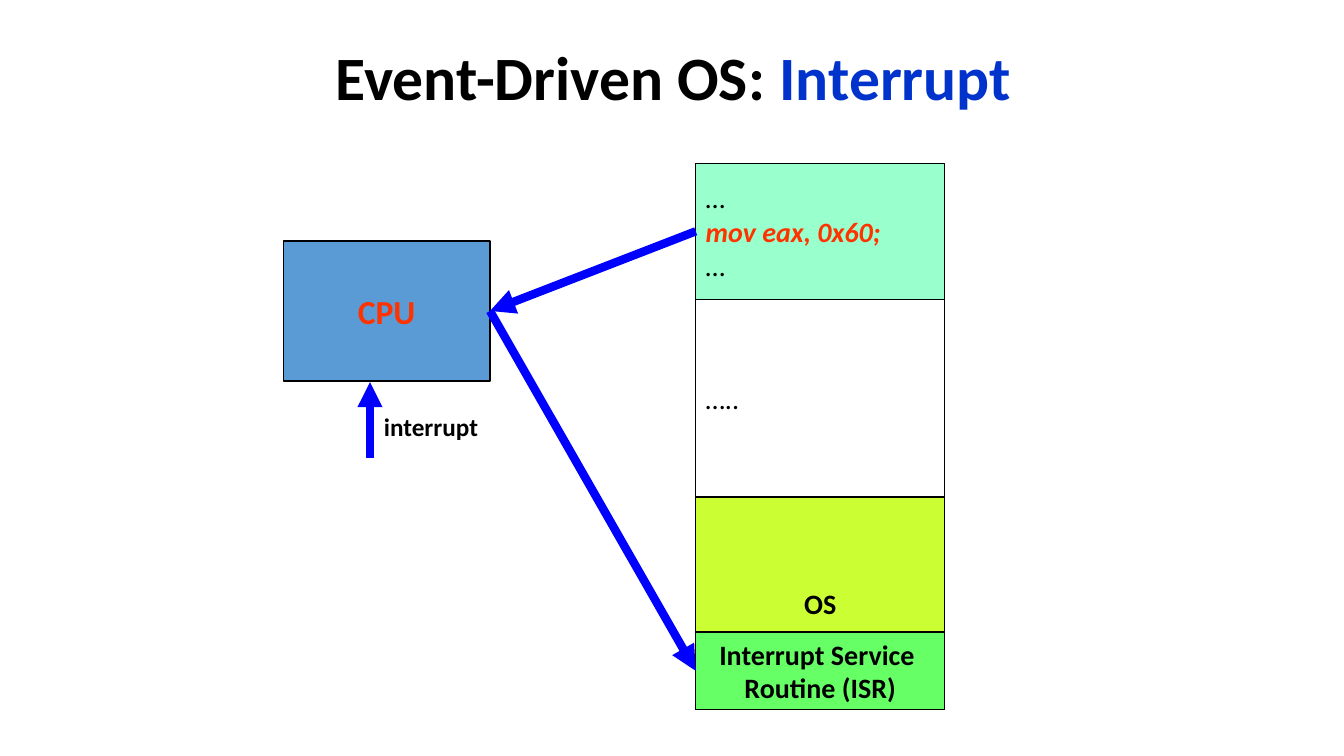
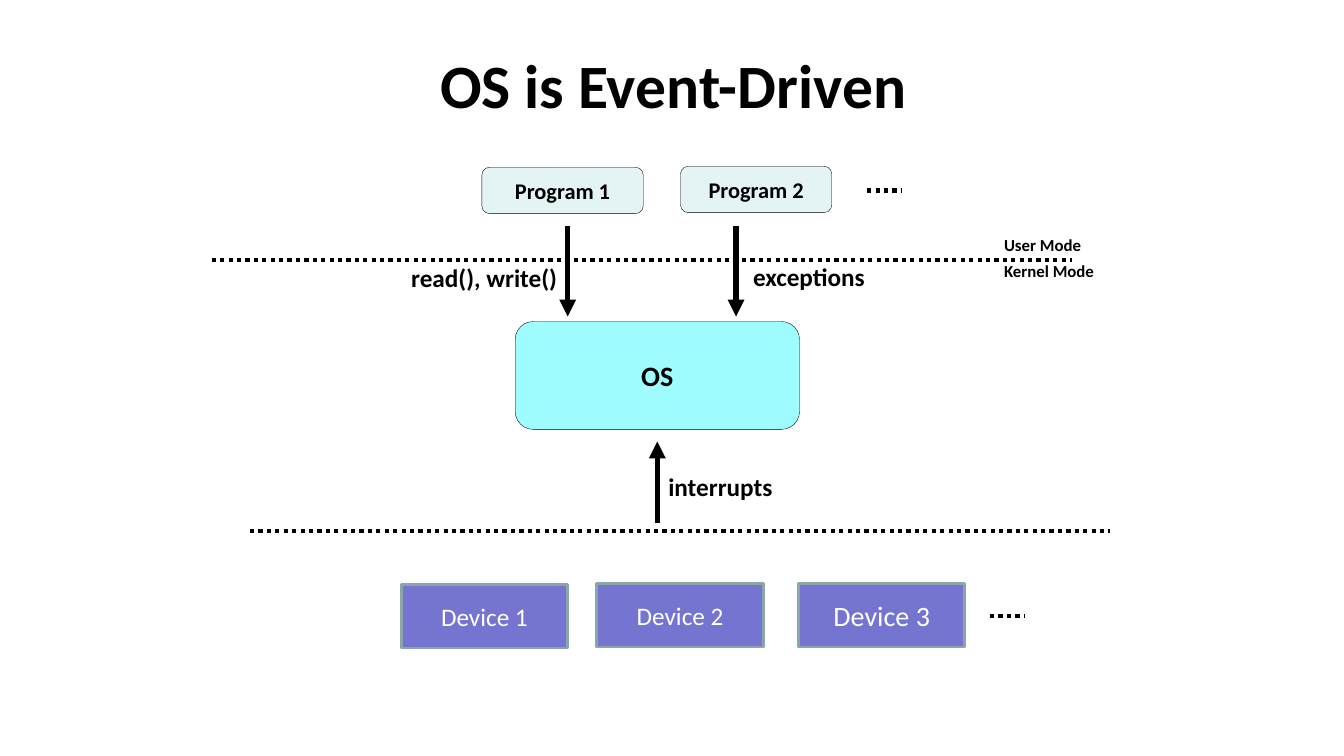
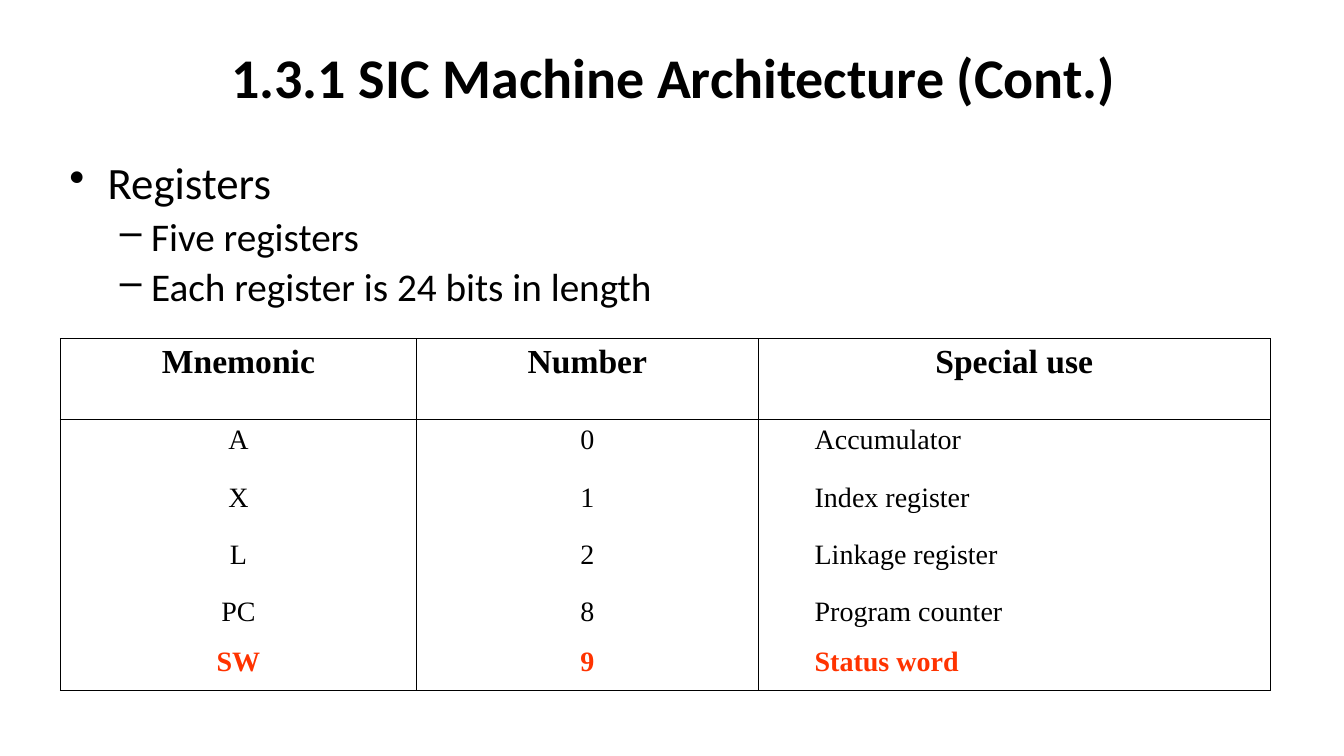
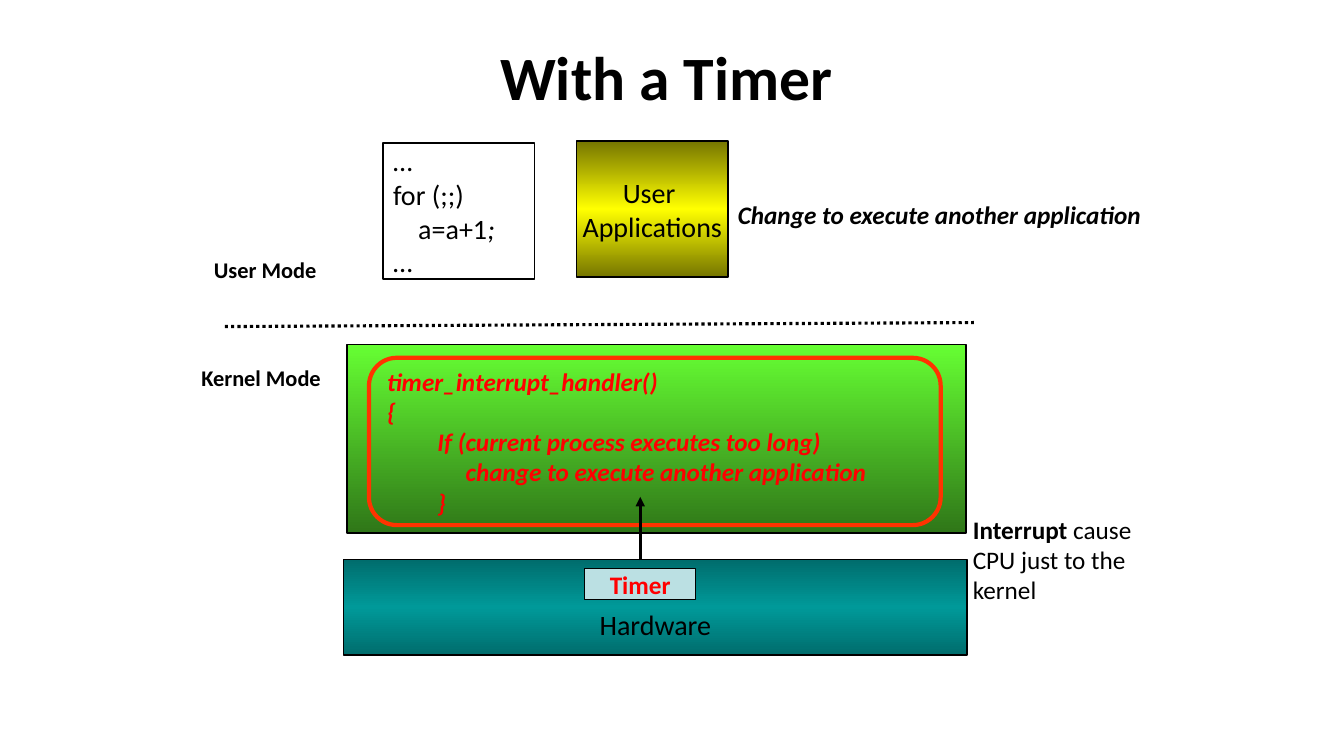
from dataclasses import dataclass, field

from lxml import etree
from pptx import Presentation
from pptx import util as u
from pptx.dml.color import RGBColor
from pptx.enum import dml, shapes, text
from pptx.oxml.ns import qn

PX = 9144
FONT = "Calibri"
TABLE_FONT = "Times New Roman"

BLACK = RGBColor(0x00, 0x00, 0x00)
WHITE = RGBColor(0xFF, 0xFF, 0xFF)
TITLE_BLUE = RGBColor(0x00, 0x33, 0xCC)
ARROW_BLUE = RGBColor(0x00, 0x00, 0xFF)
ORANGE = RGBColor(0xFF, 0x33, 0x00)
RED = RGBColor(0xFF, 0x00, 0x00)
MINT = RGBColor(0x99, 0xFF, 0xCC)
LIME = RGBColor(0xCC, 0xFF, 0x33)
GREEN = RGBColor(0x66, 0xFF, 0x66)
CPU_BLUE = RGBColor(0x5B, 0x9B, 0xD5)
PALE_TEAL = RGBColor(0xE4, 0xF3, 0xF4)
CYAN = RGBColor(0x9F, 0xFD, 0xFF)
VIOLET = RGBColor(0x75, 0x75, 0xD1)
GREY_TEAL = RGBColor(0x8A, 0xA6, 0xA8)
TIMER_BLUE = RGBColor(0xBB, 0xE0, 0xE3)
DARK_TEAL = RGBColor(0x00, 0x6D, 0x6D)
TEAL = RGBColor(0x00, 0x99, 0x99)
KERNEL_GREEN = RGBColor(0x66, 0xFF, 0x33)
DARK_GREEN = RGBColor(0x2F, 0x76, 0x18)
OLIVE = RGBColor(0x76, 0x76, 0x00)
YELLOW = RGBColor(0xFF, 0xFF, 0x00)

LEFT, CENTER = text.PP_ALIGN.LEFT, text.PP_ALIGN.CENTER
MIDDLE, TOP, BOTTOM = (text.MSO_ANCHOR.MIDDLE, text.MSO_ANCHOR.TOP,
                       text.MSO_ANCHOR.BOTTOM)
RECT = shapes.MSO_SHAPE.RECTANGLE
ROUNDED = shapes.MSO_SHAPE.ROUNDED_RECTANGLE
LEFT_SIDE, RIGHT_SIDE = 1, 3


def px(*lengths):
    return [u.Emu(length * PX) for length in lengths]


@dataclass
class Para:
    runs: list
    look: dict = field(default_factory=dict)
    indent: int = 0
    hanging: int = 0
    bullet: str = ""
    before: float = 0
    spacing: float = 0


class Deck:
    title_box = (68, 13, 1200, 125)

    def __init__(self):
        self.prs = Presentation()
        self.prs.slide_width, self.prs.slide_height = px(1333, 750)
        self.slide = None

    def new_slide(self):
        self.slide = self.prs.slides.add_slide(self.prs.slide_layouts[6])

    def style(self, font, name=None, size=None, color=None, bold=None, italic=None):
        if name:
            font.name = name
        if size:
            font.size = u.Pt(size)
        if color is not None:
            font.color.rgb = color
        if bold is not None:
            font.bold = bold
        if italic is not None:
            font.italic = italic

    def put_text(self, frame, content, align=LEFT, **look):
        base = {"name": FONT, "size": 20, "color": BLACK, "bold": False, **look}
        paras = [content] if isinstance(content, (str, Para)) else content
        for index, para in enumerate(paras):
            if isinstance(para, str):
                para = Para([para])
            line = frame.paragraphs[0] if index == 0 else frame.add_paragraph()
            line.alignment = align
            self.style(line.font, **{**base, **para.look})
            for part in para.runs:
                words, changes = (part, {}) if isinstance(part, str) else part
                run = line.add_run()
                run.text = words
                self.style(run.font, **changes)
            if para.before:
                line.space_before = u.Pt(para.before)
            if para.spacing:
                line.line_spacing = para.spacing
            props = line._p.get_or_add_pPr()
            if para.indent:
                props.set("marL", str(para.indent * PX))
                props.set("indent", str(-para.hanging * PX))
            if para.bullet:
                bullet = etree.Element(qn("a:buChar"), char=para.bullet)
                props.find(qn("a:defRPr")).addprevious(bullet)

    def label(self, box, content, wrap=False, grow=True, anchor=TOP, **look):
        frame = self.slide.shapes.add_textbox(*px(*box)).text_frame
        frame.word_wrap = wrap
        frame.vertical_anchor = anchor
        if grow:
            frame.auto_size = text.MSO_AUTO_SIZE.SHAPE_TO_FIT_TEXT
        self.put_text(frame, content, **look)

    def title(self, content, size=44, box=title_box, anchor=MIDDLE):
        self.label(box, content, wrap=True, grow=False, anchor=anchor,
                   align=CENTER, size=size, bold=True)

    def box(self, box, content="", fill=None, border=BLACK, weight=1, kind=RECT,
            wrap=False, drop=0, align=CENTER, **look):
        shape = self.slide.shapes.add_shape(kind, *px(*box))
        shape.shadow.inherit = False
        if fill is None:
            shape.fill.background()
        elif isinstance(fill, RGBColor):
            shape.fill.solid()
            shape.fill.fore_color.rgb = fill
        else:
            self.shade(shape, fill)
        shape.line.color.rgb = border
        shape.line.width = u.Pt(weight)
        frame = shape.text_frame
        frame.word_wrap = wrap
        frame.vertical_anchor = MIDDLE
        frame.margin_top = px(5 + drop)[0]
        if content:
            self.put_text(frame, content, align=align, **look)
        return shape

    def shade(self, shape, colors):
        shape.fill.gradient()
        shape.fill.gradient_angle = 270
        stops = shape._element.spPr.find(".//" + qn("a:gsLst"))
        for stop in list(stops):
            stops.remove(stop)
        for index, color in enumerate(colors):
            position = 100000 * index // (len(colors) - 1)
            stop = etree.SubElement(stops, qn("a:gs"), pos=str(position))
            etree.SubElement(stop, qn("a:srgbClr"), val=str(color))

    def line(self, start, end, weight, color=BLACK, dotted=False, arrow=False,
             begin=None, finish=None):
        link = self.slide.shapes.add_connector(
            shapes.MSO_CONNECTOR.STRAIGHT, *px(*start, *end))
        link.line.color.rgb = color
        link.line.width = u.Pt(weight)
        if dotted:
            link.line.dash_style = dml.MSO_LINE.ROUND_DOT
        props = link._element.spPr
        if arrow:
            etree.SubElement(props.find(qn("a:ln")), qn("a:tailEnd"), type="triangle")
        etree.SubElement(props, qn("a:effectLst"))
        if begin:
            link.begin_connect(*begin)
        if finish:
            link.end_connect(*finish)

    def table(self, box, widths, heights, rows):
        grid = self.slide.shapes.add_table(len(rows), len(widths), *px(*box)).table
        for column, width in zip(grid.columns, px(*widths)):
            column.width = width
        for row, height in zip(grid.rows, px(*heights)):
            row.height = height
        last = len(rows) - 1
        for r, (values, look) in enumerate(rows):
            for c, value in enumerate(values):
                cell = grid.cell(r, c)
                listed = r > 0 and c == len(widths) - 1
                cell.margin_left, cell.margin_right = px(56 if listed else 14, 14)
                cell.margin_top, cell.margin_bottom = px(5, 5)
                cell.fill.background()
                self.put_text(cell.text_frame, value, align=LEFT if listed else CENTER,
                              name=TABLE_FONT, **look)
                self.edge(cell, top=r < 2, bottom=r in (0, last))

    def edge(self, cell, top, bottom):
        props = cell._tc.get_or_add_tcPr()
        sides = {"L": True, "R": True, "T": top, "B": bottom}
        for index, (side, shown) in enumerate(sides.items()):
            border = etree.Element(qn("a:ln" + side), w=str(u.Pt(1)))
            paint = etree.SubElement(border, qn("a:solidFill" if shown else "a:noFill"))
            if shown:
                etree.SubElement(paint, qn("a:srgbClr"), val=str(BLACK))
            props.insert(index, border)


def interrupt_slide(deck):
    deck.new_slide()
    deck.title(Para(["Event-Driven OS: ", ("Interrupt", {"color": TITLE_BLUE})]))
    mov = Para(["mov eax, 0x60;"], {"color": ORANGE, "bold": True, "italic": True})
    memory_x, memory_w = 690, 247
    program = deck.box((memory_x, 162, memory_w, 135), ["…", mov, "…"], MINT, align=LEFT)
    deck.box((memory_x, 493, memory_w, 211), "OS", LIME, bold=True)
    deck.box((memory_x, 297, memory_w, 196), "…..", align=LEFT)
    routine = deck.box((memory_x, 627, memory_w, 77),
                       ["Interrupt Service ", "Routine (ISR)"], GREEN, bold=True)
    cpu = deck.box((281, 239, 205, 139), "CPU", CPU_BLUE,
                   size=24, color=ORANGE, bold=True)
    blue_arrow = {"weight": 6, "color": ARROW_BLUE, "arrow": True}
    deck.line((690, 230), (485, 309), begin=(program, LEFT_SIDE),
              finish=(cpu, RIGHT_SIDE), **blue_arrow)
    deck.line((485, 309), (690, 666), begin=(cpu, RIGHT_SIDE),
              finish=(routine, LEFT_SIDE), **blue_arrow)
    deck.line((367, 454), (367, 379), **blue_arrow)
    deck.label((371, 403, 114, 40), "interrupt", size=18, bold=True)


def event_slide(deck):
    deck.new_slide()
    deck.title("OS is Event-Driven", box=(218, 0, 900, 125), anchor=BOTTOM)
    for x1, x2, y in ((210, 1063, 258), (248, 1101, 527),
                      (860, 895, 189), (982, 1016, 611)):
        deck.line((x1, y), (x2, y), 3, dotted=True)
    for y, w, mode in ((228, 98, "User Mode"), (254, 111, "Kernel Mode")):
        deck.label((985, y, w, 30), mode, align=CENTER, size=12, bold=True)
    soft = {"kind": ROUNDED, "weight": 0.25, "bold": True}
    deck.box((478, 166, 160, 46), "Program 1", PALE_TEAL, size=16, **soft)
    deck.box((675, 165, 150, 46), "Program 2", PALE_TEAL, size=16, **soft)
    deck.box((511, 319, 282, 107), "OS", CYAN, **soft)
    for x, y1, y2 in ((563, 224, 314), (730, 224, 314), (652, 519, 438)):
        deck.line((x, y1), (x, y2), 4, arrow=True)
    for x, y, w, event in ((398, 255, 166, "read(), write()"),
                           (737, 254, 132, "exceptions"),
                           (653, 463, 124, "interrupts")):
        deck.label((x, y, w, 40), event, size=18, bold=True)
    for number, (x, y, size) in enumerate(
            ((398, 580, 18), (592, 579, 18), (792, 579, 20)), 1):
        deck.box((x, y, 165, 63), f"Device {number}", VIOLET, border=GREY_TEAL,
                 weight=2, size=size, color=WHITE)


def register_slide(deck):
    deck.new_slide()
    deck.title("1.3.1 SIC Machine Architecture (Cont.)", size=40)
    plain = {"size": 20}
    rows = [
        (("Mnemonic", "Number", "Special use"), {"size": 24, "bold": True}),
        (("A", "0", "Accumulator"), plain),
        (("X", "1", "Index register"), plain),
        (("L", "2", "Linkage register"), plain),
        (("PC", "8", "Program counter"), plain),
        (("SW", "9", "Status word"), {"size": 20, "color": ORANGE, "bold": True}),
    ]
    deck.table((60, 336, 1200, 349), (353, 339, 508), (80, 58, 56, 57, 49, 49), rows)
    points = [Para(["Registers"], {"size": 32}, 38, 38, "•", spacing=0.9)]
    points += [Para([point], {"size": 28}, 81, 31, "–", 5.6, 0.9)
               for point in ("Five registers", "Each register is 24 bits in length")]
    deck.label((59, 155, 860, 193), points, wrap=True, grow=False)


def timer_slide(deck):
    deck.new_slide()
    deck.title("With a Timer ")
    deck.line((223, 324), (966, 320), 2.25, dotted=True)
    deck.box((341, 555, 618, 95), "Hardware", (DARK_TEAL, TEAL, DARK_TEAL), drop=34)
    deck.box((344, 342, 614, 187), fill=(KERNEL_GREEN, DARK_GREEN))
    for x, y, w, mode in ((201, 249, 124, "User Mode"), (186, 356, 146, "Kernel Mode")):
        deck.label((x, y, w, 37), mode, align=CENTER, size=16, bold=True)
    deck.label((955, 505, 209, 101),
               [Para([("Interrupt", {"bold": True}), " cause"]),
                "CPU just to the kernel"], wrap=True, size=18)
    deck.box((580, 564, 110, 31), "Timer", TIMER_BLUE, weight=0.75,
             size=18, color=RED, bold=True)
    deck.label((722, 193, 437, 40), "Change to execute another application",
               wrap=True, size=18, bold=True, italic=True)
    handler = ["timer_interrupt_handler()", "{",
               Para(["If (current process executes too long)"], indent=50),
               Para(["change to execute another application"], indent=78),
               Para(["}"], indent=50)]
    deck.box((366, 355, 567, 166), handler, border=ORANGE, weight=3, kind=ROUNDED,
             wrap=True, align=LEFT, size=18, color=RED, bold=True, italic=True)
    deck.line((635, 556), (635, 493), 2.25, arrow=True)
    loop = ["…", "for (;;)",
            Para(["a=a+1", (";", {"italic": True})], indent=25), "…"]
    deck.box((380, 142, 150, 135), loop, WHITE, wrap=True, align=LEFT)
    deck.box((572, 140, 150, 135), ["User ", "Applications"], (OLIVE, YELLOW, OLIVE))


def main():
    deck = Deck()
    for build in (interrupt_slide, event_slide, register_slide, timer_slide):
        build(deck)
    deck.prs.save("out.pptx")


if __name__ == "__main__":
    main()
